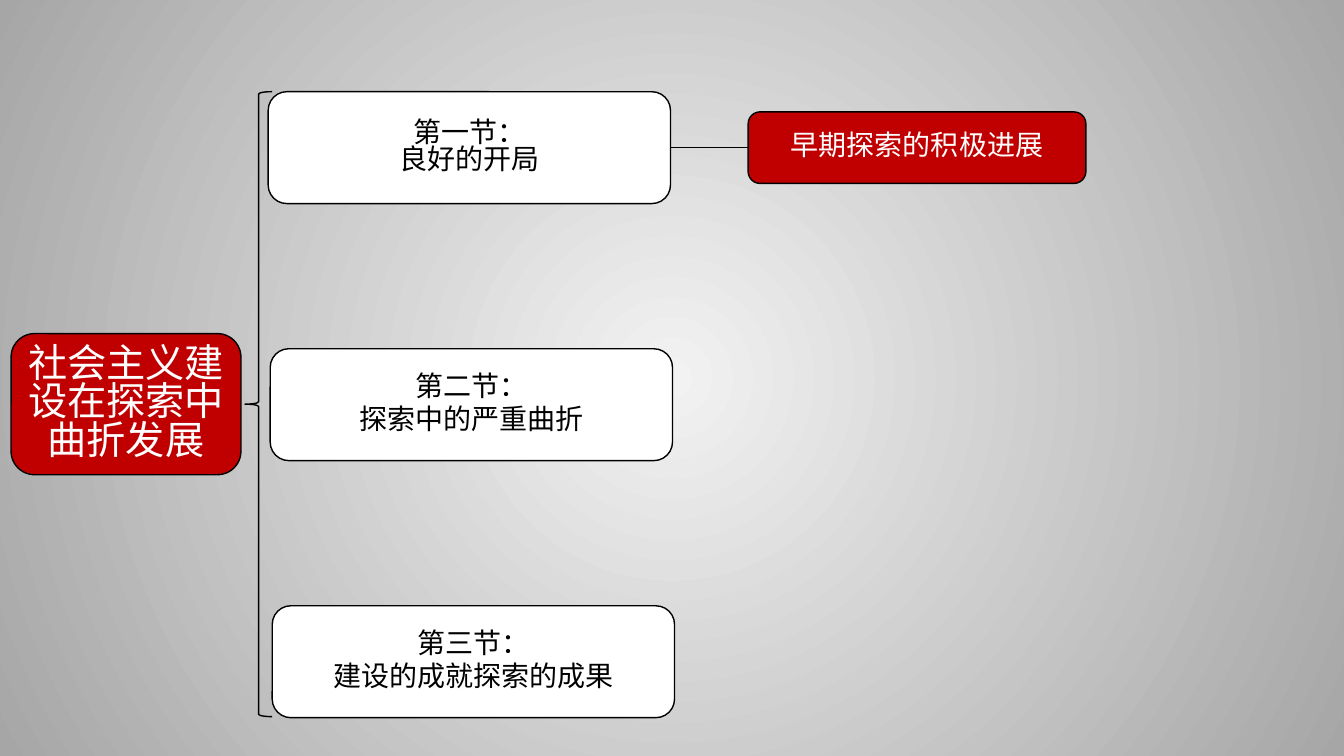
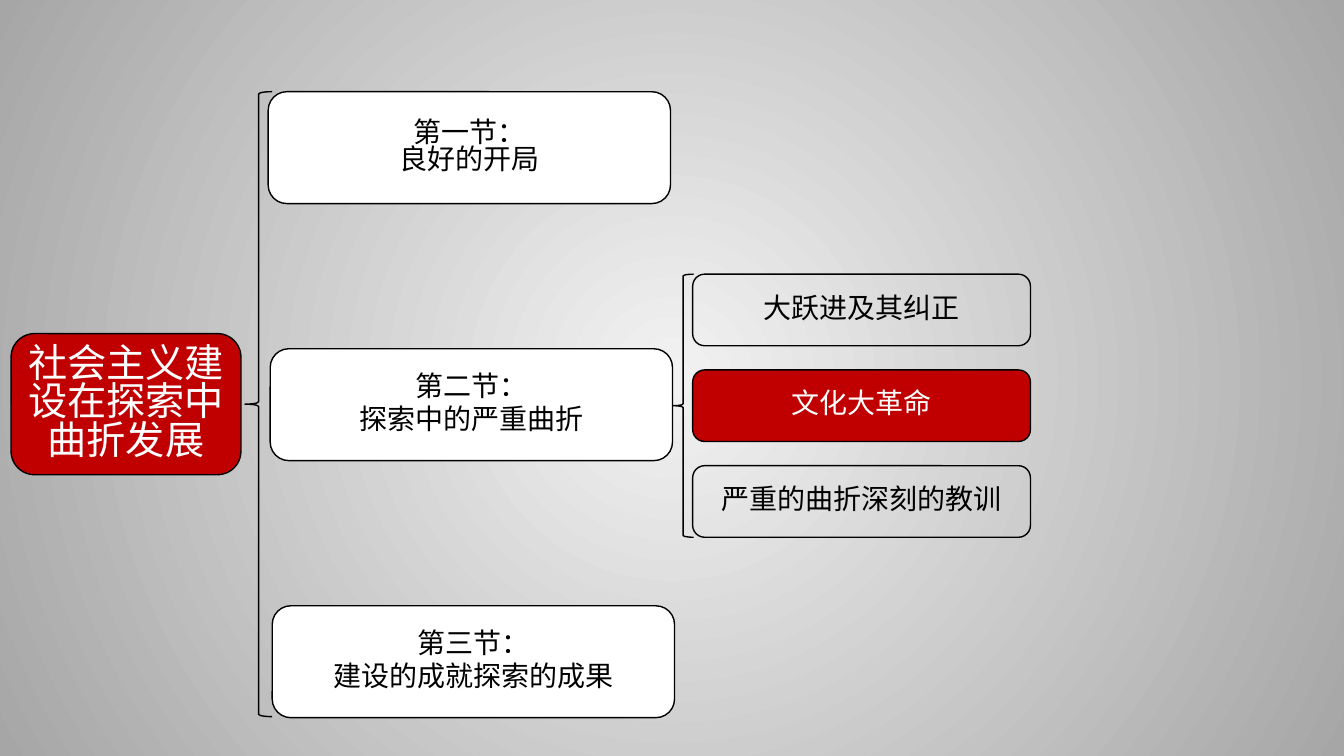
from lxml.etree import SubElement
from pptx import Presentation
from pptx.dml.color import RGBColor
from pptx.enum.shapes import MSO_CONNECTOR, MSO_SHAPE
from pptx.enum.text import MSO_ANCHOR, PP_ALIGN
from pptx.oxml.ns import qn
from pptx.util import Inches, Pt

FONT = "Noto Sans CJK SC"
BLACK = RGBColor(0x00, 0x00, 0x00)
WHITE = RGBColor(0xFF, 0xFF, 0xFF)
RED = RGBColor(0xC0, 0x00, 0x00)
CENTER_GRAY = RGBColor(0xF2, 0xF2, 0xF2)
EDGE_GRAY = RGBColor(0xA6, 0xA6, 0xA6)

CHAPTER = "社会主义建设在探索中曲折发展"
# Heading, subject, points of space between the two
SECTIONS = [
    ("第一节：", "良好的开局", 0),
    ("第二节：", "探索中的严重曲折", 4),
    ("第三节：", "建设的成就探索的成果", 4),
]
FIRST_TOPIC = "早期探索的积极进展"
SECOND_TOPICS = ["大跃进及其纠正", "文化大革命", "严重的曲折深刻的教训"]
CURRENT_TOPIC = "文化大革命"

SECTION_LEFT, SECTION_TOP = 2.66, 0.91
SECTION_WIDTH, SECTION_HEIGHT = 3.99, 1.11
SECTION_SHIFT, SECTION_STEP = 0.02, 2.55
TOPIC_WIDTH, TOPIC_HEIGHT = 3.35, 0.71
TOPIC_LEFT, TOPIC_TOP, TOPIC_STEP = 6.87, 2.72, 0.95
LINE_SPACING = 0.82


def set_background(master):
    """Give every slide a radial gradient, light in the middle."""
    fill = master.background.fill
    fill.gradient()
    for stop, color, position in zip(fill.gradient_stops, (CENTER_GRAY, EDGE_GRAY), (0, 1)):
        stop.color.rgb = color
        stop.position = position
    gradient = master.element.find(".//" + qn("a:gradFill"))
    gradient.remove(gradient.find(qn("a:lin")))
    radial = SubElement(gradient, qn("a:path"), {"path": "circle"})
    SubElement(radial, qn("a:fillToRect"), dict.fromkeys("ltrb", "50000"))


def add_outline(slide, kind, left, top, width, height, fill=None):
    shape = slide.shapes.add_shape(
        kind, Inches(left), Inches(top), Inches(width), Inches(height))
    shape.shadow.inherit = False
    if fill is None:
        shape.fill.background()
    else:
        shape.fill.solid()
        shape.fill.fore_color.rgb = fill
    shape.line.color.rgb = BLACK
    shape.line.width = Pt(1)
    return shape


def add_box(slide, text, left, top, width, height, fill=None, size=20, gap=0):
    """Add a rounded box; gap is the space in points before later paragraphs."""
    box = add_outline(slide, MSO_SHAPE.ROUNDED_RECTANGLE, left, top, width, height, fill)
    frame = box.text_frame
    frame.word_wrap = True
    frame.vertical_anchor = MSO_ANCHOR.MIDDLE
    frame.margin_left = frame.margin_right = Inches(0.05)
    frame.text = text
    for index, para in enumerate(frame.paragraphs):
        para.alignment = PP_ALIGN.CENTER
        para.line_spacing = LINE_SPACING
        para.space_before = Pt(gap if index else 0)
        for span in para.runs:
            span.font.size = Pt(size)
            span.font.name = FONT
            span.font.color.rgb = WHITE if fill == RED else BLACK
            SubElement(span.font._element, qn("a:ea"), {"typeface": FONT})


def add_topic(slide, text, left, top, current):
    add_box(slide, text, left, top, TOPIC_WIDTH, TOPIC_HEIGHT, RED if current else None)


def add_outline_slide(deck):
    """Add a slide with the chapter and its three sections."""
    slide = deck.slides.add_slide(deck.slide_layouts[6])
    add_box(slide, CHAPTER, 0.11, 3.31, 2.28, 1.4, RED, size=28)
    add_outline(slide, MSO_SHAPE.LEFT_BRACE, 2.43, SECTION_TOP, 0.27, 6.2)
    for index, (heading, subject, gap) in enumerate(SECTIONS):
        add_box(slide, f"{heading}\n{subject}",
                SECTION_LEFT + index * SECTION_SHIFT, SECTION_TOP + index * SECTION_STEP,
                SECTION_WIDTH, SECTION_HEIGHT, WHITE, gap=gap)
    return slide


def add_first_section(deck):
    slide = add_outline_slide(deck)
    topic_left = 7.42
    middle = SECTION_TOP + SECTION_HEIGHT / 2
    add_topic(slide, FIRST_TOPIC, topic_left, middle - TOPIC_HEIGHT / 2, True)
    link = slide.shapes.add_connector(
        MSO_CONNECTOR.STRAIGHT, Inches(SECTION_LEFT + SECTION_WIDTH), Inches(middle),
        Inches(topic_left), Inches(middle))
    link.line.color.rgb = BLACK
    link.line.width = Pt(0.5)
    SubElement(link._element.spPr, qn("a:effectLst"))


def add_second_section(deck):
    slide = add_outline_slide(deck)
    brace_height = TOPIC_STEP * (len(SECOND_TOPICS) - 1) + TOPIC_HEIGHT
    add_outline(slide, MSO_SHAPE.LEFT_BRACE, 6.67, TOPIC_TOP, 0.21, brace_height)
    for index, topic in enumerate(SECOND_TOPICS):
        add_topic(slide, topic, TOPIC_LEFT, TOPIC_TOP + index * TOPIC_STEP,
                  topic == CURRENT_TOPIC)


def main():
    deck = Presentation()
    deck.slide_width, deck.slide_height = Inches(13.33), Inches(7.5)
    set_background(deck.slide_master)
    add_first_section(deck)
    add_second_section(deck)
    deck.save("out.pptx")


if __name__ == "__main__":
    main()
